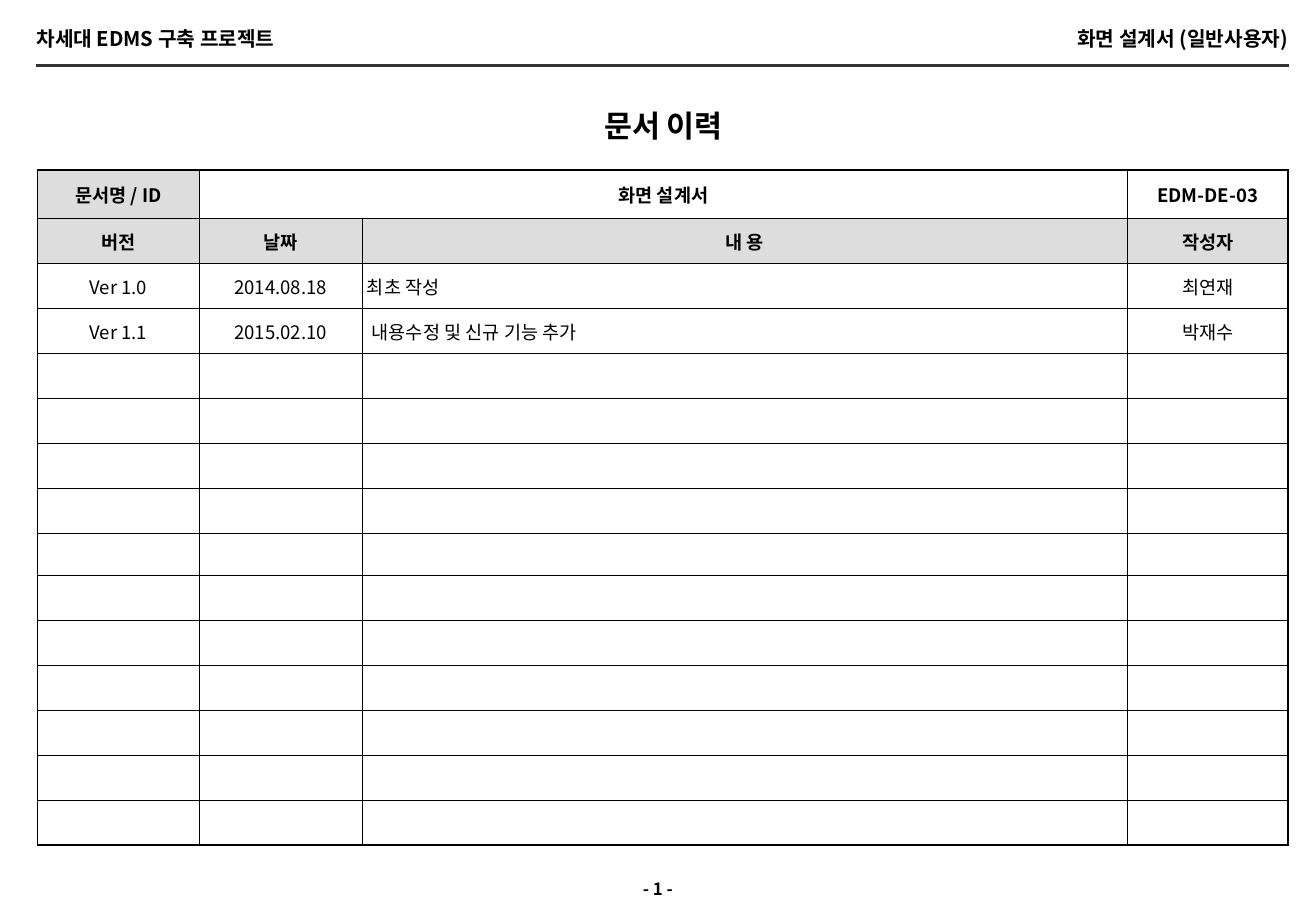
from dataclasses import dataclass

from lxml.etree import SubElement
from pptx import Presentation
from pptx.dml.color import RGBColor
from pptx.enum.shapes import MSO_CONNECTOR
from pptx.enum.text import MSO_ANCHOR, MSO_AUTO_SIZE, PP_ALIGN
from pptx.oxml.ns import qn
from pptx.util import Inches, Pt

FONT = "Noto Sans CJK KR"
BLACK = RGBColor(0x00, 0x00, 0x00)
RULE_GRAY = RGBColor(0x33, 0x33, 0x33)
HEAD_GRAY = RGBColor(0xDD, 0xDD, 0xDD)

COL_WIDTHS = [1.33, 1.34, 6.3, 1.32]
ROW_HEIGHTS = [0.4] + [0.37] * 7 + [0.35] + [0.37] * 6
CELL_MARGIN = 0.04
CONTENT_COL = 2
HISTORY = [
    ["문서명 / ID", "화면 설계서", "", "EDM-DE-03"],
    ["버전", "날짜", "내 용", "작성자"],
    ["Ver 1.0", "2014.08.18", "최초 작성", "최연재"],
    ["Ver 1.1", "2015.02.10", "내용수정 및 신규 기능 추가", "박재수"],
]
HEAD_ROWS = 2
REVISED_CELL = (3, CONTENT_COL)


@dataclass
class Label:
    text: str
    left: float
    top: float
    width: float
    height: float
    size: float
    align: PP_ALIGN
    inset: tuple[float, float] = (0, 0)
    line_spacing: float = 1.0


LABELS = [
    Label("차세대 EDMS 구축 프로젝트", 0.3, 0.22, 3.47, 0.2, 12, PP_ALIGN.LEFT),
    Label("화면 설계서 (일반사용자)", 7.13, 0.22, 3.47, 0.2, 12, PP_ALIGN.RIGHT),
    Label("- 1 -", 0, 7.2, 10.83, 0.25, 10, PP_ALIGN.CENTER, (0.1, 0.05), 0.9),
]
TITLE = Label("문서 이력", 0.3, 0.83, 10.32, 0.4, 18, PP_ALIGN.CENTER, (0.1, 0.05))


def write(tf, text: str, *, size: float, bold: bool = True,
          align: PP_ALIGN = PP_ALIGN.CENTER, line_spacing: float = 1.0) -> None:
    p = tf.paragraphs[0]
    p.alignment = align
    p.line_spacing = line_spacing
    p.space_before = Pt(0)
    if not text:
        SubElement(p._p, qn("a:endParaRPr"), sz=str(size * 100))
        return
    r = p.add_run()
    r.text = text
    r.font.name, r.font.size, r.font.bold = FONT, Pt(size), bold
    r.font.color.rgb = BLACK
    SubElement(r.font._element, qn("a:ea"), typeface=FONT)


def fill_label(sp, label: Label) -> None:
    sp.left, sp.top = Inches(label.left), Inches(label.top)
    sp.width, sp.height = Inches(label.width), Inches(label.height)
    tf = sp.text_frame
    tf.word_wrap = True
    tf.auto_size = MSO_AUTO_SIZE.SHAPE_TO_FIT_TEXT
    tf.vertical_anchor = MSO_ANCHOR.TOP
    tf.margin_left = tf.margin_right = Inches(label.inset[0])
    tf.margin_top = tf.margin_bottom = Inches(label.inset[1])
    write(tf, label.text, size=label.size, align=label.align,
          line_spacing=label.line_spacing)


def set_borders(cell, outer: dict[str, bool]) -> None:
    """Draw 1 pt lines on the table's edge and 0.5 pt lines inside it."""
    tc_pr = cell._tc.get_or_add_tcPr()
    for side, is_outer in outer.items():
        ln = SubElement(tc_pr, qn(f"a:ln{side}"), w=str(Pt(1 if is_outer else 0.5)))
        fill = SubElement(ln, qn("a:solidFill"))
        SubElement(fill, qn("a:srgbClr"), val=str(BLACK))


def add_rule(s) -> None:
    line = s.shapes.add_connector(MSO_CONNECTOR.STRAIGHT, Inches(0.3), Inches(0.54),
                                  Inches(10.61), Inches(0.54))
    line.line.color.rgb = RULE_GRAY
    line.line.width = Pt(2.25)
    SubElement(line._element.spPr, qn("a:effectLst"))


def add_history(s) -> None:
    n_rows, n_cols = len(ROW_HEIGHTS), len(COL_WIDTHS)
    table = s.shapes.add_table(n_rows, n_cols, Inches(0.31), Inches(1.4),
                               Inches(sum(COL_WIDTHS)), Inches(sum(ROW_HEIGHTS))).table
    table.first_row = table.horz_banding = False
    for col, width in zip(table.columns, COL_WIDTHS):
        col.width = Inches(width)
    for row, height in zip(table.rows, ROW_HEIGHTS):
        row.height = Inches(height)
    table.cell(0, 1).merge(table.cell(0, 2))

    for i in range(n_rows):
        for j in range(n_cols):
            cell = table.cell(i, j)
            set_borders(cell, {"L": j == 0, "R": j == n_cols - 1,
                               "T": i == 0, "B": i == n_rows - 1})
            if i == 1 or (i, j) == (0, 0):
                cell.fill.solid()
                cell.fill.fore_color.rgb = HEAD_GRAY
            else:
                cell.fill.background()
            cell.vertical_anchor = MSO_ANCHOR.MIDDLE
            cell.margin_left = cell.margin_right = Inches(CELL_MARGIN)
            cell.margin_top = cell.margin_bottom = Inches(CELL_MARGIN)
            if (i, j) == REVISED_CELL:
                cell.margin_left = Inches(2 * CELL_MARGIN)
            is_head = i < HEAD_ROWS
            left = j == CONTENT_COL and not is_head
            write(cell.text_frame, HISTORY[i][j] if i < len(HISTORY) else "",
                  size=11, bold=is_head,
                  align=PP_ALIGN.LEFT if left else PP_ALIGN.CENTER)


def main() -> None:
    prs = Presentation()
    prs.slide_width, prs.slide_height = Inches(10.83), Inches(7.5)
    s = prs.slides.add_slide(prs.slide_layouts.get_by_name("Title Only"))
    fill_label(s.shapes.title, TITLE)
    add_rule(s)
    for label in LABELS:
        fill_label(s.shapes.add_textbox(0, 0, 0, 0), label)
    add_history(s)
    prs.save("out.pptx")


if __name__ == "__main__":
    main()
